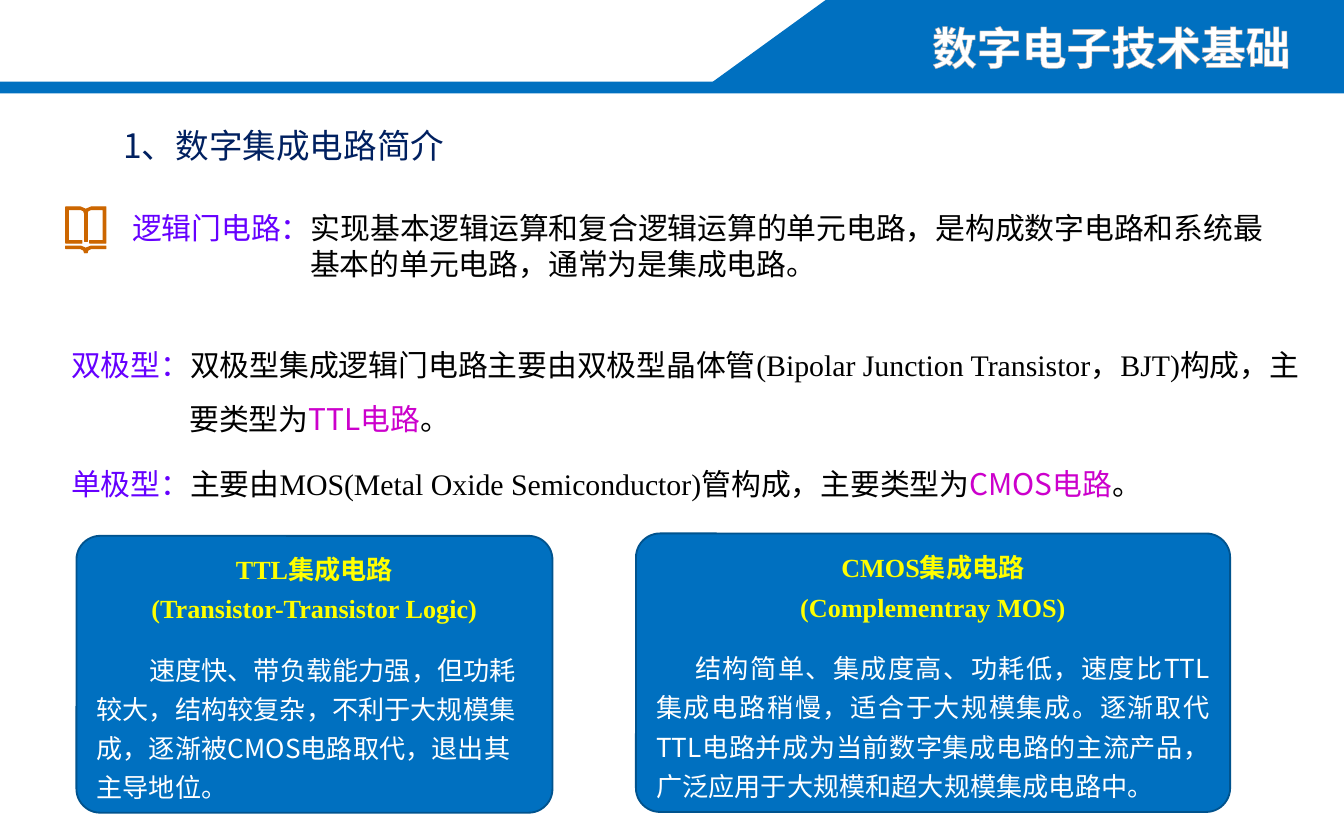
from lxml import etree
from pptx import Presentation
from pptx.dml.color import RGBColor
from pptx.enum.shapes import MSO_SHAPE
from pptx.enum.text import MSO_ANCHOR, MSO_AUTO_SIZE, PP_ALIGN
from pptx.oxml.ns import qn
from pptx.util import Pt

LEFT, CENTER, RIGHT, JUSTIFY = PP_ALIGN.LEFT, PP_ALIGN.CENTER, PP_ALIGN.RIGHT, PP_ALIGN.JUSTIFY
COLORS = {
    "blue": "0070C0", "edge": "00538E", "navy": "002060", "violet": "6600FF",
    "magenta": "CC00CC", "yellow": "FFFF00", "orange": "CC6600",
    "white": "FFFFFF", "black": "000000", "outline": "AFABAB",
}
SANS, SERIF = "Noto Sans CJK SC", "Times New Roman"
TERM, BODY, KEY = (SANS, "violet"), (SERIF, "black"), (SANS, "magenta")

# Content: each paragraph is a list of (text, (font, colour)) runs
COURSE = "数字电子技术基础"
HEADING = "1、数字集成电路简介"
DEFINITION = [
    ("逻辑门电路：", TERM),
    ("实现基本逻辑运算和复合逻辑运算的单元电路，是构成数字电路和系统最基本的单元电路，通常为是集成电路。", BODY),
]
GATE_TYPES = [
    [("双极型：", TERM),
     ("双极型集成逻辑门电路主要由双极型晶体管(Bipolar Junction Transistor，BJT)构成，主要类型为", BODY),
     ("TTL电路", KEY), ("。", BODY)],
    [("单极型：", TERM),
     ("主要由MOS(Metal Oxide Semiconductor)管构成，主要类型为", BODY),
     ("CMOS电路", KEY), ("。", BODY)],
]
CARDS = [
    {"box": (41, 287.1, 255, 148.3), "titles": ["TTL集成电路", "(Transistor-Transistor Logic)"],
     "indent": 28.2, "align": LEFT,
     "body": "速度快、带负载能力强，但功耗较大，结构较复杂，不利于大规模集成，逐渐被CMOS电路取代，退出其主导地位。"},
    {"box": (340.7, 285.8, 318.3, 149.2), "titles": ["CMOS集成电路", "(Complementray MOS)"],
     "indent": 21, "align": JUSTIFY,
     "body": "结构简单、集成度高、功耗低，速度比TTL集成电路稍慢，适合于大规模集成。逐渐取代TTL电路并成为当前数字集成电路的主流产品，广泛应用于大规模和超大规模集成电路中。"},
]
HEADER = [
    (MSO_SHAPE.RECTANGLE, (0, 43.7, 720, 6.4)),
    (MSO_SHAPE.RECTANGLE, (534, 0, 186, 44)),
    (MSO_SHAPE.FLOWCHART_DATA, (381.6, 0, 303.8, 44)),
]
# Left half of the book icon; the right half is its mirror image
BOOK_AXIS = 46
BOOK_SPINE = (45.3, 114.5, 1.4, 15.1)
BOOK_LEFT = [
    [(46.7, 135.4), (45.3, 135.4), (44.8, 134), (43.2, 133.2), (35.2, 133.2),
     (35.2, 131.8), (43.2, 131.8), (45.7, 132.8)],
    [(43.9, 130.3), (35.2, 130.3), (35.2, 110.9), (43.2, 110.9), (45.7, 112),
     (46.7, 114.5), (45.3, 114.5), (44.8, 113), (43.2, 112.3), (36.7, 112.3),
     (36.7, 128.9), (43.9, 128.9)],
]


def color(name):
    return RGBColor.from_string(COLORS[name])


def style_font(font, face, color_name):
    font.name = face
    font.color.rgb = color(color_name)
    etree.SubElement(font._rPr, qn("a:ea")).set("typeface", SANS)


def paint(shape, fill, line=None, width=1):
    shape.shadow.inherit = False
    shape.fill.solid()
    shape.fill.fore_color.rgb = color(fill)
    if line:
        shape.line.color.rgb = color(line)
        shape.line.width = Pt(width)
    else:
        shape.line.fill.background()


def add_shape(slide, kind, box, *style):
    shape = slide.shapes.add_shape(kind, *map(Pt, box))
    paint(shape, *style)
    return shape


def add_text(slide, box):
    frame = slide.shapes.add_textbox(*map(Pt, box)).text_frame
    frame.word_wrap = True
    frame.auto_size = MSO_AUTO_SIZE.SHAPE_TO_FIT_TEXT
    return frame


def fill_paragraph(frame, index, runs, size, align=LEFT, spacing=None,
                   before=0, margin=0, indent=0, bold=False):
    paragraph = frame.paragraphs[0] if index == 0 else frame.add_paragraph()
    properties = paragraph._p.get_or_add_pPr()
    properties.set("marL", str(Pt(margin)))
    properties.set("indent", str(Pt(indent)))
    paragraph.alignment = align
    if spacing:
        paragraph.line_spacing = spacing
    if before:
        paragraph.space_before = Pt(before)
    paragraph.font.size = Pt(size)
    paragraph.font.bold = bold
    if len(runs) == 1:
        style_font(paragraph.font, *runs[0][1])
    for text, style in runs:
        run = paragraph.add_run()
        run.text = text
        if len(runs) > 1:
            style_font(run.font, *style)
    return paragraph


presentation = Presentation()
presentation.slide_width, presentation.slide_height = Pt(720), Pt(450)
slide = presentation.slides.add_slide(presentation.slide_layouts[6])

# Header band and course name
for kind, box in HEADER:
    add_shape(slide, kind, box, "blue")
frame = add_text(slide, (444.2, 0, 254.2, 44))
paragraph = fill_paragraph(frame, 0, [(COURSE, (SANS, "white"))], 24, RIGHT, 1.25, bold=True)
outline = etree.Element(qn("a:ln"), w=str(Pt(1)))
outline_fill = etree.SubElement(outline, qn("a:solidFill"))
etree.SubElement(outline_fill, qn("a:srgbClr"), val=COLORS["outline"])
paragraph.runs[0].font._rPr.insert(0, outline)

# Section heading
frame = add_text(slide, (59, 63.4, 190.8, 28.8))
fill_paragraph(frame, 0, [(HEADING, (SANS, "navy"))], 18)

# Book icon
add_shape(slide, MSO_SHAPE.RECTANGLE, BOOK_SPINE, "orange", "orange", 0.5)
for outline_points in BOOK_LEFT:
    mirrored = [(2 * BOOK_AXIS - x, y) for x, y in outline_points]
    for points in (outline_points, mirrored):
        builder = slide.shapes.build_freeform(Pt(points[0][0]), Pt(points[0][1]))
        builder.add_line_segments([(Pt(x), Pt(y)) for x, y in points[1:]])
        paint(builder.convert_to_shape(), "orange", "orange", 0.5)

# Definition and gate types, with hanging terms
frame = add_text(slide, (59.8, 108.7, 629.3, 48.2))
frame.margin_left = Pt(11)
fill_paragraph(frame, 0, DEFINITION, 16, margin=95.4, indent=-95.4)
frame = add_text(slide, (31, 172.8, 681.1, 97.9))
for index, runs in enumerate(GATE_TYPES):
    fill_paragraph(frame, index, runs, 16, spacing=1.5, before=6 * index,
                   margin=63.4, indent=-63.4)

# Comparison cards
for card in CARDS:
    shape = add_shape(slide, MSO_SHAPE.ROUNDED_RECTANGLE, card["box"], "blue", "edge")
    shape.adjustments[0] = 0.086
    frame = shape.text_frame
    frame.word_wrap = True
    frame.vertical_anchor = MSO_ANCHOR.MIDDLE
    frame.margin_top = frame.margin_bottom = 0
    for index, title in enumerate(card["titles"]):
        fill_paragraph(frame, index, [(title, (SERIF, "yellow"))], 14, CENTER, 1.25, bold=True)
    fill_paragraph(frame, len(card["titles"]), [(card["body"], (SANS, "white"))], 14,
                   card["align"], 1.25, before=12, indent=card["indent"])

presentation.save("out.pptx")
